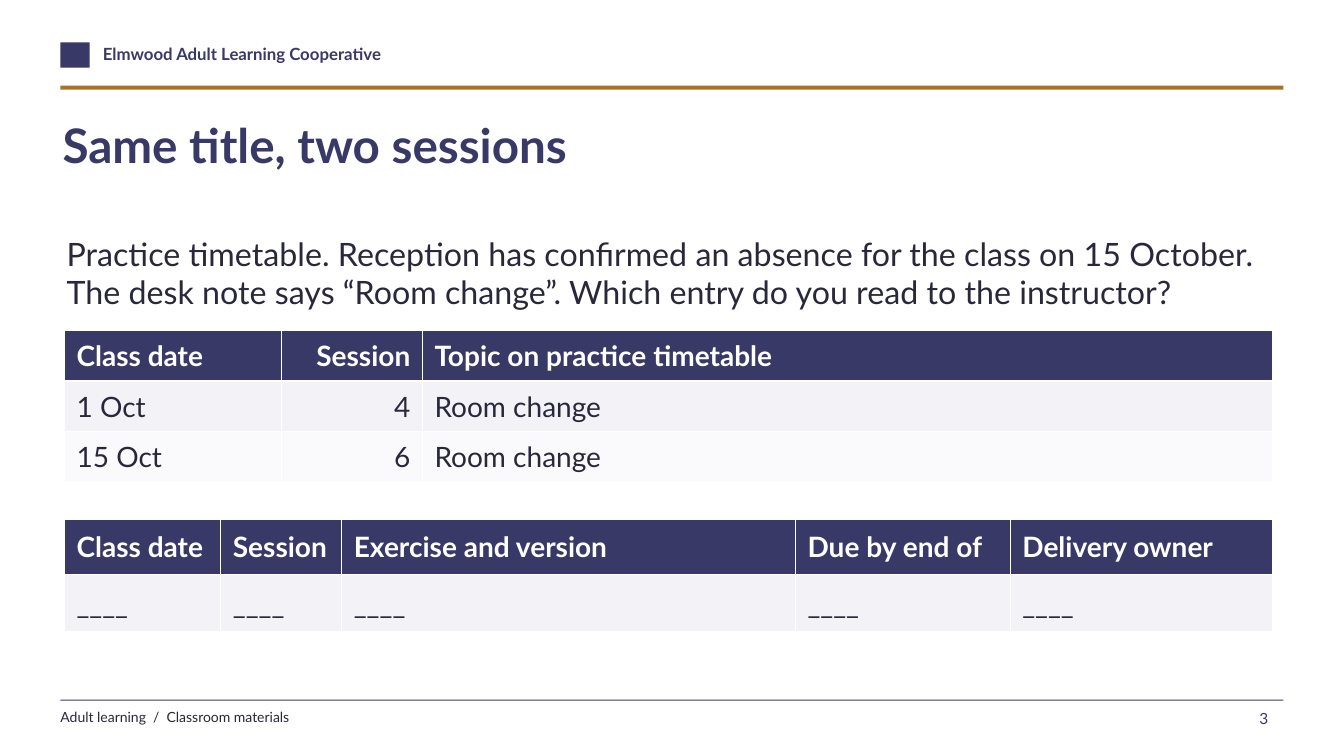
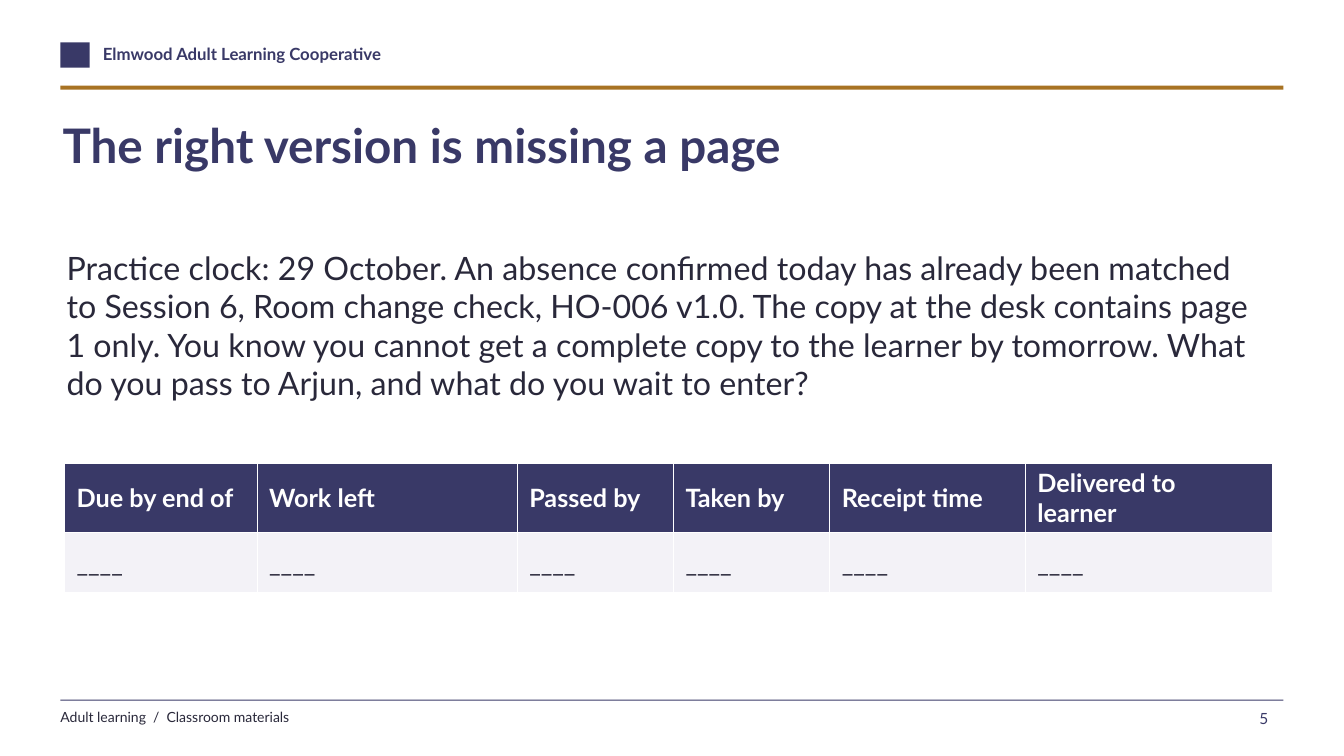
from pptx import Presentation
from pptx.dml.color import RGBColor
from pptx.enum.text import MSO_ANCHOR, MSO_AUTO_SIZE, PP_ALIGN
from pptx.util import Inches, Pt

FONT = "Lato"
NAVY, GOLD, INK, WHITE = "393967", "A87323", "29283A", "FFFFFF"
BANDS = ["F3F2F7", "FAFAFC"]
EDGE, WIDE = 0.6, 12.13
LEFT, SPAN = 0.64, 11.98
BLANK = "____"


def tint(part, code):
    part.rgb = RGBColor.from_string(code)


def paint(fill, code):
    fill.solid()
    tint(fill.fore_color, code)


def pad(frame, size):
    frame.margin_left = frame.margin_right = Inches(size)
    frame.margin_top = frame.margin_bottom = Inches(size)


def write(frame, text, size, code, bold=False, align=PP_ALIGN.LEFT):
    para = frame.paragraphs[0]
    para.alignment = align
    run = para.add_run()
    run.text = text
    run.font.name = FONT
    run.font.size = Pt(size)
    run.font.bold = bold
    tint(run.font.color, code)


def add_bar(slide, x, y, w, h, code):
    bar = slide.shapes.add_shape(1, Inches(x), Inches(y), Inches(w), Inches(h))
    bar.shadow.inherit = False
    paint(bar.fill, code)
    bar.line.fill.background()
    return bar


def add_text(slide, text, x, y, w, h, size, code, inset=0.02, **style):
    box = slide.shapes.add_textbox(Inches(x), Inches(y), Inches(w), Inches(h))
    frame = box.text_frame
    frame.word_wrap = True
    pad(frame, inset)
    write(frame, text, size, code, **style)
    return box


def add_grid(slide, y, cols, tall, rows, size, right=()):
    shape = slide.shapes.add_table(len(rows), len(cols), Inches(LEFT), Inches(y),
                                   Inches(SPAN), Inches(sum(tall)))
    grid = shape.table
    for col, w in zip(grid.columns, cols):
        col.width = Inches(w)
    for row, h in zip(grid.rows, tall):
        row.height = Inches(h)
    for i, row in enumerate(rows):
        head = i == 0
        for j, text in enumerate(row):
            cell = grid.cell(i, j)
            paint(cell.fill, NAVY if head else BANDS[(i - 1) % 2])
            cell.vertical_anchor = MSO_ANCHOR.MIDDLE
            pad(cell, 0.04)
            cell.margin_left = cell.margin_right = Inches(0.12)
            align = PP_ALIGN.RIGHT if j in right else PP_ALIGN.LEFT
            write(cell.text_frame, text, size, WHITE if head else INK, head, align)


def brand(layout, slide):
    parts = [
        add_bar(slide, EDGE, 0.42, 0.29, 0.25, NAVY),
        add_text(slide, "Elmwood Adult Learning Cooperative", 1.02, 0.43, 6, 0.28,
                 12, NAVY, 0, bold=True),
        add_bar(slide, EDGE, 0.85, WIDE, 0.04, GOLD),
        add_bar(slide, EDGE, 6.94, WIDE, 0.01, NAVY),
        add_text(slide, "Adult learning  /  Classroom materials", EDGE, 7.03, 7, 0.23,
                 10, INK, 0),
    ]
    for num, part in enumerate(parts, 20):
        part.element.xpath("./p:nvSpPr/p:cNvPr")[0].set("id", str(num))
        layout.shapes.element.append(part.element)


def set_title(slide, text):
    title = slide.shapes.title
    title.left, title.top = Inches(0.62), Inches(1.15)
    title.width, title.height = Inches(12), Inches(1.05)
    frame = title.text_frame
    frame.word_wrap = True
    frame.auto_size = MSO_AUTO_SIZE.NONE
    frame.vertical_anchor = MSO_ANCHOR.TOP
    pad(frame, 0)
    write(frame, text, 34, NAVY, True)


def add_slide(deck, layout, title, num):
    slide = deck.slides.add_slide(layout)
    set_title(slide, title)
    add_text(slide, num, 11.87, 7.01, 0.73, 0.28, 11, NAVY, align=PP_ALIGN.RIGHT)
    return slide


def add_case(slide, text, y, h):
    add_text(slide, text, LEFT, y, SPAN, h, 23, INK)


def add_form(slide, y, cols, tall, heads, size):
    add_grid(slide, y, cols, tall, [heads, [BLANK] * len(heads)], size)


def main():
    deck = Presentation()
    deck.slide_width, deck.slide_height = Inches(13.33), Inches(7.5)
    layout = deck.slide_layouts[5]

    slide = add_slide(deck, layout, "Same title, two sessions", "3")
    brand(layout, slide)
    add_case(slide, "Practice timetable. Reception has confirmed an absence for the class "
             "on 15 October. The desk note says “Room change”. Which entry do you read "
             "to the instructor?", 2.3, 0.78)
    add_grid(slide, 3.28, [2.15, 1.4, 8.43], [0.5] * 3, [
        ["Class date", "Session", "Topic on practice timetable"],
        ["1 Oct", "4", "Room change"],
        ["15 Oct", "6", "Room change"],
    ], 20, right=(1,))
    add_form(slide, 5.15, [1.55, 1.2, 4.5, 2.13, 2.6], [0.55, 0.57],
             ["Class date", "Session", "Exercise and version", "Due by end of",
              "Delivery owner"], 20)

    slide = add_slide(deck, layout, "The right version is missing a page", "5")
    add_case(slide, "Practice clock: 29 October. An absence confirmed today has already "
             "been matched to Session 6, Room change check, HO-006 v1.0. The copy at the "
             "desk contains page 1 only. You know you cannot get a complete copy to the "
             "learner by tomorrow. What do you pass to Arjun, and what do you wait to "
             "enter?", 2.44, 1.8)
    add_form(slide, 4.6, [1.91, 2.58, 1.55, 1.55, 1.94, 2.45], [0.68, 0.6],
             ["Due by end of", "Work left", "Passed by", "Taken by", "Receipt time",
              "Delivered to learner"], 18)

    deck.save("out.pptx")


if __name__ == "__main__":
    main()
